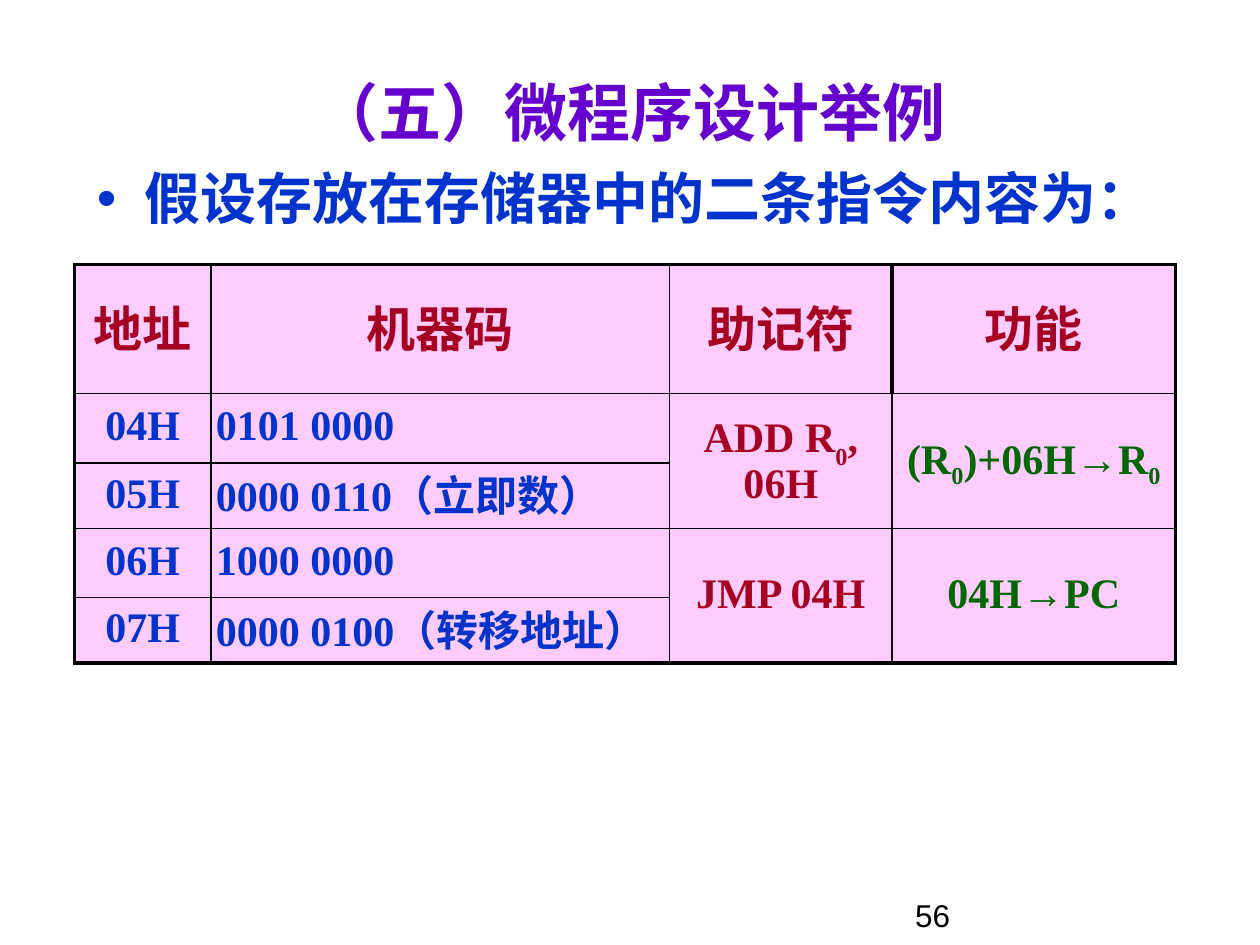
import pptx
import pptx.util
import pptx.dml.color
import pptx.enum.text
import pptx.oxml
import pptx.oxml.ns
from pptx.util import Cm

COLOURS = {
    "title": "6600CC",
    "blue": "0033CC",
    "red": "A50021",
    "green": "006600",
    "cell": "FFCCFF",
    "black": "000000",
}
ALIGN = pptx.enum.text.PP_ALIGN
ANCHOR = pptx.enum.text.MSO_ANCHOR
COLUMN_WIDTHS = [2.75, 9.25, 4.48, 5.72]
ROW_HEIGHTS = [2.6, 1.4, 1.32, 1.4, 1.32]
COLUMN_COLOURS = ["blue", "blue", "red", "green"]
THIN, THICK = 1, 2.25
ROWS = [
    ["地址", "机器码", "助记符", "功能"],
    ["04H", "0101 0000", "ADD R_0, 06H", "(R_0)+06H→R_0"],
    ["05H", "0000 0110（立即数）", None, None],
    ["06H", "1000 0000", "JMP 04H", "04H→PC"],
    ["07H", "0000 0100（转移地址）", None, None],
]


def rgb(name):
    return pptx.dml.color.RGBColor.from_string(COLOURS[name])


def add_span(para, text, size, colour, font, bold, baseline=0):
    span = para.add_run()
    span.text = text
    span.font.size = pptx.util.Pt(size)
    span.font.name = font
    span.font.bold = bold
    span.font.color.rgb = rgb(colour)
    if baseline:
        span.font._element.set("baseline", str(baseline * 1000))


def write_text(frame, text, size, colour, font="Arial", bold=True,
               align=ALIGN.LEFT, spacing=None, after=0, subscript=-25):
    para = frame.paragraphs[0]
    para.alignment = align
    para.space_before = pptx.util.Pt(0)
    para.space_after = pptx.util.Pt(after)
    if spacing:
        para.line_spacing = spacing
    plain, *marked = text.split("_")
    add_span(para, plain, size, colour, font, bold)
    for part in marked:
        add_span(para, part[0], size, colour, font, bold, subscript)
        if part[1:]:
            add_span(para, part[1:], size, colour, font, bold)
    return para


def place(shape, left, top, width, height):
    shape.left, shape.top = Cm(left), Cm(top)
    shape.width, shape.height = Cm(width), Cm(height)
    shape.text_frame.auto_size = pptx.enum.text.MSO_AUTO_SIZE.NONE


def add_title(page, text):
    box = page.shapes.title
    place(box, 1.9, 1.32, 21.6, 1.83)
    box.text_frame.vertical_anchor = ANCHOR.MIDDLE
    write_text(box.text_frame, text, 36, "title", align=ALIGN.CENTER)


def add_bullet_line(page, text):
    box = page.placeholders[1]
    place(box, 1.7, 3.33, 22, 2)
    para = write_text(box.text_frame, text, 32, "blue", spacing=0.9, after=6.4)
    properties = para._p.get_or_add_pPr()
    properties.set("marL", str(Cm(0.95)))
    properties.set("indent", str(Cm(-0.95)))
    properties.append(pptx.oxml.parse_xml(
        f'<a:buChar {pptx.oxml.ns.nsdecls("a")} char="•"/>'))


def add_page_number(page, text):
    box = page.shapes.add_textbox(Cm(18.2), Cm(17.93), Cm(5.3), Cm(0.7))
    box.text_frame.word_wrap = True
    write_text(box.text_frame, text, 18, "black", bold=False)


def set_borders(cell, widths):
    properties = cell._tc.get_or_add_tcPr()
    for side, width in widths.items():
        properties.append(pptx.oxml.parse_xml(
            f'<a:ln{side} {pptx.oxml.ns.nsdecls("a")} w="{pptx.util.Pt(width)}">'
            f'<a:solidFill><a:srgbClr val="{COLOURS["black"]}"/></a:solidFill>'
            f'</a:ln{side}>'))


def border_widths(row, column, last_row):
    last_column = len(COLUMN_WIDTHS) - 1
    header = row == 0
    left = column == 0 or (header and column == last_column)
    right = column == last_column or (header and column == last_column - 1)
    bottom = last_row == len(ROWS) - 1
    thick = {"L": left, "R": right, "T": header, "B": bottom}
    return {side: THICK if heavy else THIN for side, heavy in thick.items()}


def fill_cell(cell, row, column):
    last_row = row + cell.span_height - 1 if cell.is_merge_origin else row
    set_borders(cell, border_widths(row, column, last_row))
    cell.fill.solid()
    cell.fill.fore_color.rgb = rgb("cell")
    cell.vertical_anchor = ANCHOR.MIDDLE
    cell.margin_left = cell.margin_right = Cm(0.1)
    cell.margin_top = cell.margin_bottom = Cm(0.1)
    text = ROWS[row][column]
    if text:
        header = row == 0
        size = 28 if header else 24
        write_text(cell.text_frame, text, size,
                   "red" if header else COLUMN_COLOURS[column],
                   font="Times New Roman", spacing=0.9, after=size * 0.2,
                   align=ALIGN.LEFT if column == 1 and not header else ALIGN.CENTER,
                   subscript=-30 if column == 2 else -25)


def add_instruction_table(page):
    frame = page.shapes.add_table(
        len(ROWS), len(COLUMN_WIDTHS), Cm(1.5), Cm(5.33),
        Cm(sum(COLUMN_WIDTHS)), Cm(sum(ROW_HEIGHTS)))
    table = frame.table
    table.first_row = table.horz_banding = False
    for column, width in zip(table.columns, COLUMN_WIDTHS):
        column.width = Cm(width)
    for row, height in zip(table.rows, ROW_HEIGHTS):
        row.height = Cm(height)
    for row in (1, 3):
        for column in (2, 3):
            table.cell(row, column).merge(table.cell(row + 1, column))
    for row in range(len(ROWS)):
        for column in range(len(COLUMN_WIDTHS)):
            fill_cell(table.cell(row, column), row, column)


def main():
    deck = pptx.Presentation()
    deck.slide_width, deck.slide_height = Cm(25.4), Cm(19.05)
    page = deck.slides.add_slide(deck.slide_layouts[1])
    add_page_number(page, "56")
    add_title(page, "（五）微程序设计举例")
    add_bullet_line(page, "假设存放在存储器中的二条指令内容为：")
    add_instruction_table(page)
    deck.save("out.pptx")


if __name__ == "__main__":
    main()
